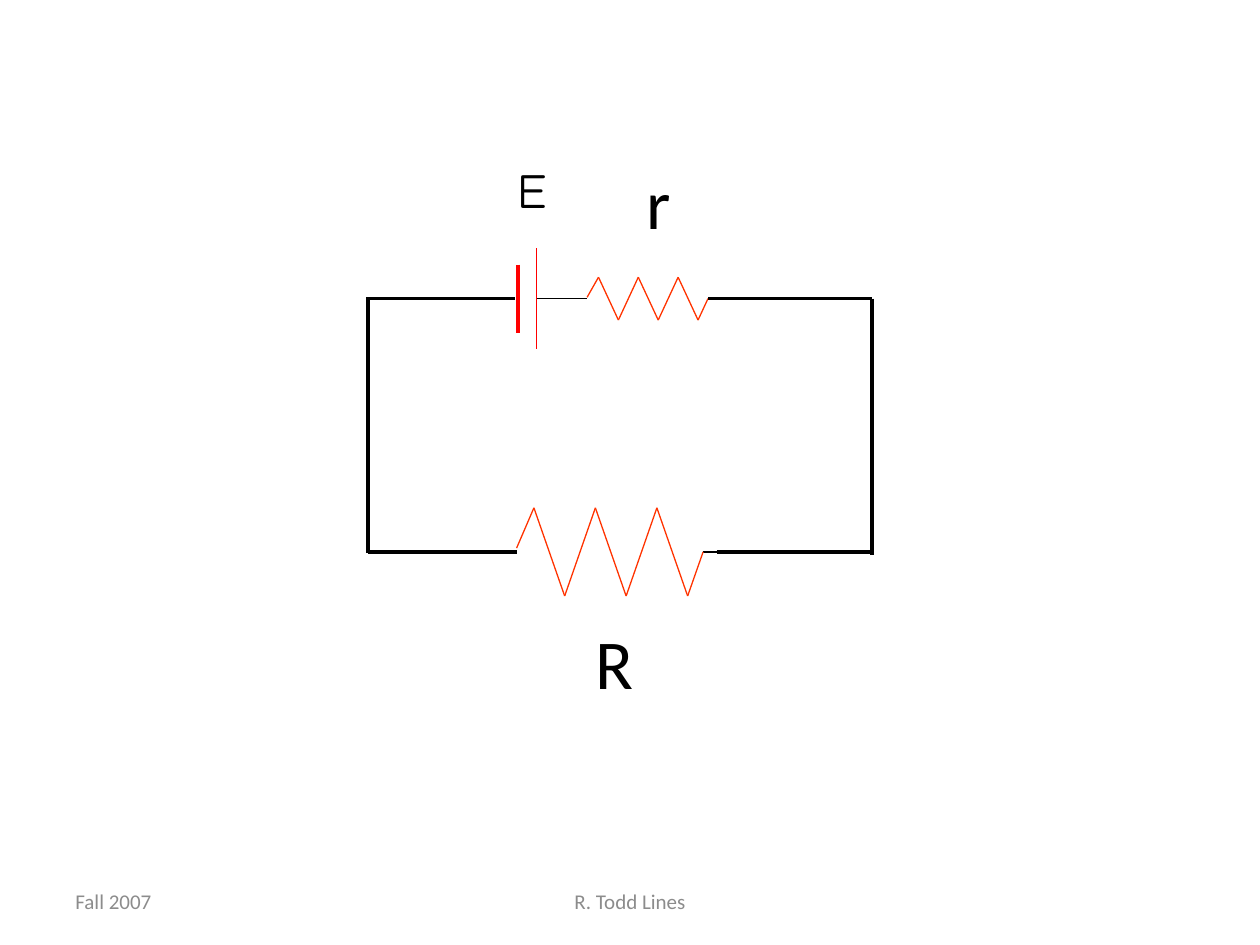
from itertools import pairwise

from lxml.etree import SubElement
from pptx import Presentation
from pptx.dml.color import RGBColor
from pptx.enum.shapes import MSO_CONNECTOR
from pptx.enum.text import MSO_ANCHOR, MSO_AUTO_SIZE, PP_ALIGN
from pptx.oxml.ns import qn
from pptx.util import Pt

# Content: all lengths in points
COLORS = {"wire": "000000", "battery": "FF0000", "resistor": "FF3300",
          "text": "000000", "footer": "8C8C8C"}
THIN, THICK = 0.75, 2.25
LEFT, RIGHT, TOP, BOTTOM = 210.2, 498.2, 170.6, 315.4

# Labels: text, (left, top, width, height), size, font
LABELS = [
    ("E", (288.7, 87.8, 34.6, 41), 28, "Comic Neue"),
    ("r", (362.2, 87.8, 28.8, 55.4), 40, "Calibri"),
    ("R", (333.4, 350.6, 36.7, 55.4), 40, "Calibri"),
]
# Footers: text, (left, top, width, height), alignment
FOOTERS = [
    ("Fall 2007", (36, 500.4, 168, 28.8), PP_ALIGN.LEFT),
    ("R. Todd Lines", (246, 500.4, 228, 28.8), PP_ALIGN.CENTER),
]
# Resistors: start, first peak x, step between turns, peak y, trough y, end
RESISTORS = [
    ((335.5, 169.9), 342, 11.38, 158.4, 182.9, (404.6, TOP)),
    ((295.2, 313.2), 305.1, 17.57, 290.2, 340.6, (401.8, BOTTOM)),
]
# Straight lines: x1, y1, x2, y2
LEADS = [
    (277.2, TOP, 294.5, TOP), (306.7, TOP, 324.7, TOP),
    (324.7, TOP, 335.5, TOP), (404.6, TOP, 416.2, TOP),
    (277.9, BOTTOM, 295.2, BOTTOM), (401.8, BOTTOM, 419, BOTTOM),
]
WIRES = [
    (LEFT, 169.9, LEFT, 316.1), (RIGHT, TOP, RIGHT, 317.2),
    (LEFT, TOP, 294.5, TOP), (404.6, TOP, RIGHT, TOP),
    (LEFT, BOTTOM, 295.2, BOTTOM), (409.7, BOTTOM, RIGHT, BOTTOM),
]
LONG_PLATE = (306.7, 141.8, 306.7, 199.4)
SHORT_PLATE = (295.9, 151.2, 295.9, 190.1)


def add_line(page, ends, color, width):
    line = page.shapes.add_connector(MSO_CONNECTOR.STRAIGHT, *map(Pt, ends))
    line.line.color.rgb = RGBColor.from_string(COLORS[color])
    line.line.width = Pt(width)
    SubElement(line._element.spPr, qn("a:effectLst"))


def add_text(page, text, place, *, size, font="Calibri", color="text",
             align=PP_ALIGN.LEFT, anchor=MSO_ANCHOR.TOP, wrap=False):
    box = page.shapes.add_textbox(*map(Pt, place))
    frame = box.text_frame
    frame.word_wrap = wrap
    frame.auto_size = MSO_AUTO_SIZE.NONE if wrap else MSO_AUTO_SIZE.SHAPE_TO_FIT_TEXT
    frame.vertical_anchor = anchor
    para = frame.paragraphs[0]
    para.alignment = align
    span = para.add_run()
    span.text = text
    span.font.size = Pt(size)
    span.font.name = font
    span.font.color.rgb = RGBColor.from_string(COLORS[color])


def add_resistor(page, start, first, step, peak, trough, end):
    turns = [(first + i * step, trough if i % 2 else peak) for i in range(6)]
    for a, b in pairwise([start, *turns, end]):
        add_line(page, (*a, *b), "resistor", THIN)


def main():
    deck = Presentation()
    deck.slide_width, deck.slide_height = Pt(720), Pt(540)
    page = deck.slides.add_slide(deck.slide_layouts[6])

    # Footer
    for text, place, align in FOOTERS:
        add_text(page, text, place, size=12, color="footer", align=align,
                 anchor=MSO_ANCHOR.MIDDLE, wrap=True)

    # Circuit
    for ends in LEADS:
        add_line(page, ends, "wire", THIN)
    add_line(page, LONG_PLATE, "battery", THIN)
    add_line(page, SHORT_PLATE, "battery", THICK)
    for resistor in RESISTORS:
        add_resistor(page, *resistor)
    for ends in WIRES:
        add_line(page, ends, "wire", THICK)

    # Component labels
    for text, place, size, font in LABELS:
        add_text(page, text, place, size=size, font=font)

    deck.save("out.pptx")


if __name__ == "__main__":
    main()
